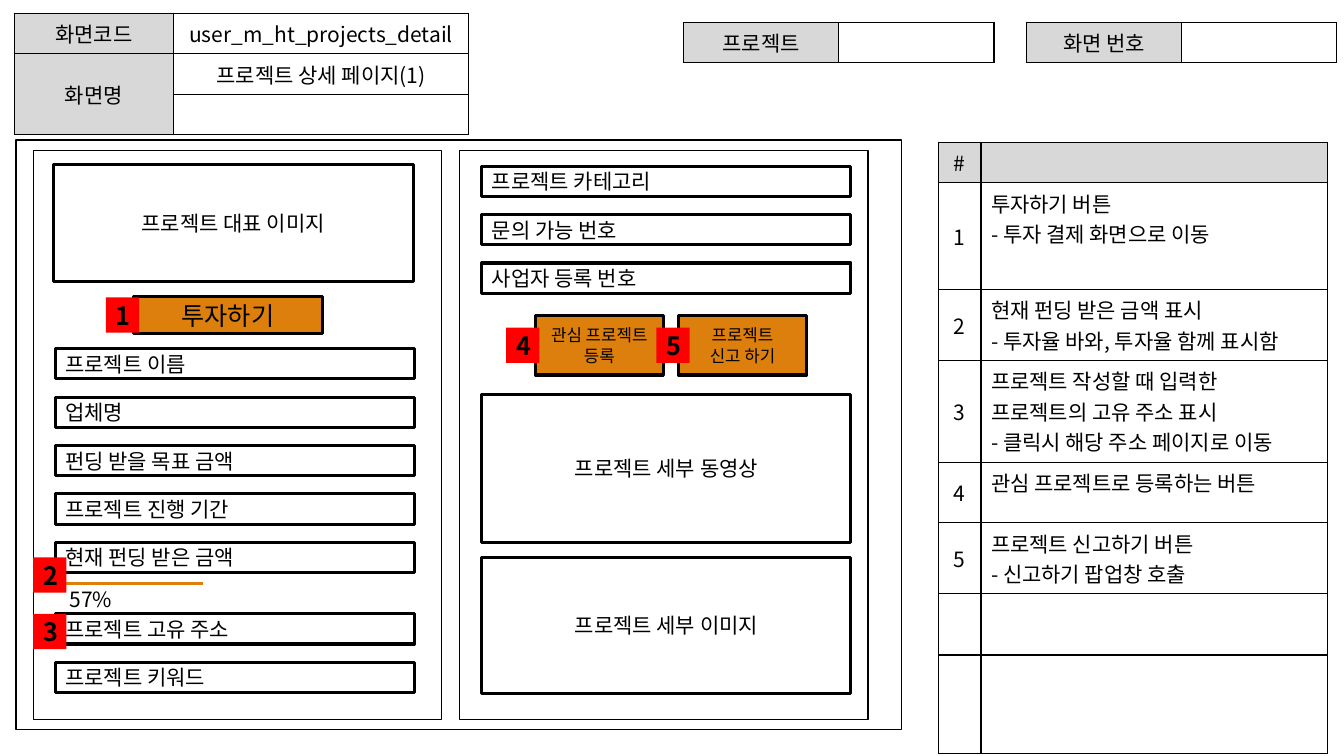
from lxml.etree import SubElement
from pptx import Presentation
from pptx.dml.color import RGBColor
from pptx.enum.shapes import MSO_CONNECTOR, MSO_SHAPE
from pptx.enum.text import MSO_ANCHOR, PP_ALIGN
from pptx.oxml.ns import qn
from pptx.util import Inches, Pt

BLACK = RGBColor(0x00, 0x00, 0x00)
WHITE = RGBColor(0xFF, 0xFF, 0xFF)
GRAY = RGBColor(0xD8, 0xD8, 0xD8)
ORANGE = RGBColor(0xDC, 0x7F, 0x0D)
RED = RGBColor(0xFF, 0x00, 0x00)
FONT = "Noto Sans CJK KR"
BODY_SIZE = 15
FIELD_HEIGHT = 0.3
FIELD_PITCH = 0.48


def write(frame, text, size=BODY_SIZE, align=PP_ALIGN.CENTER, bold=False):
    frame.text = text
    frame.word_wrap = True
    for para in frame.paragraphs:
        para.alignment = align
        for span in para.runs:
            span.font.size = Pt(size)
            span.font.bold = bold
            span.font.color.rgb = BLACK
            span.font.name = FONT
            SubElement(span.font._element, qn("a:ea"), typeface=FONT)
        if not para.runs:
            SubElement(para._p, qn("a:endParaRPr"), sz=str(size * 100))


def add_box(page, left, top, width, height, text="", fill=None, line=2.25,
            size=BODY_SIZE, align=PP_ALIGN.CENTER, bold=False):
    box = page.shapes.add_shape(MSO_SHAPE.RECTANGLE, Inches(left), Inches(top),
                                Inches(width), Inches(height))
    box.shadow.inherit = False
    if fill is None:
        box.fill.background()
    else:
        box.fill.solid()
        box.fill.fore_color.rgb = fill
    if line:
        box.line.color.rgb = BLACK
        box.line.width = Pt(line)
    else:
        box.line.fill.background()
    if text:
        box.text_frame.vertical_anchor = MSO_ANCHOR.MIDDLE
        write(box.text_frame, text, size, align, bold)
    return box


def add_fields(page, left, top, width, labels):
    for index, label in enumerate(labels):
        add_box(page, left, top + index * FIELD_PITCH, width, FIELD_HEIGHT,
                label, align=PP_ALIGN.LEFT)


def add_marker(page, left, top, number):
    add_box(page, left, top, 0.33, 0.35, number, RED, None, size=18, bold=True)


def style_cell(cell, text, fill, align, anchor):
    cell.vertical_anchor = anchor
    write(cell.text_frame, text, align=align)
    properties = cell._tc.get_or_add_tcPr()
    for side in ("a:lnL", "a:lnR", "a:lnT", "a:lnB"):
        border = SubElement(properties, qn(side), w=str(Pt(1)))
        paint = SubElement(border, qn("a:solidFill"))
        SubElement(paint, qn("a:srgbClr"), val=str(BLACK))
    cell.fill.solid()
    cell.fill.fore_color.rgb = fill


def add_grid(page, left, top, widths, heights, rows, is_header,
             align=PP_ALIGN.CENTER, anchor=MSO_ANCHOR.MIDDLE):
    """The last column takes the given alignment and anchor."""
    table = page.shapes.add_table(len(rows), len(widths), Inches(left), Inches(top),
                                  Inches(sum(widths)), Inches(sum(heights))).table
    table.first_row = table.horz_banding = False
    for column, width in zip(table.columns, widths):
        column.width = Inches(width)
    for r, (texts, height) in enumerate(zip(rows, heights)):
        table.rows[r].height = Inches(height)
        for c, text in enumerate(texts):
            last = c == len(widths) - 1
            style_cell(table.cell(r, c), text,
                       GRAY if is_header(r, c) else WHITE,
                       align if last else PP_ALIGN.CENTER,
                       anchor if last else MSO_ANCHOR.MIDDLE)
    return table


def first_column(row, column):
    return column == 0


def first_row(row, column):
    return row == 0


# Screen identification along the top
def add_heading(page, left, top):
    screen = add_grid(page, left, top, [1.58, 2.93], [0.4] * 3,
                      [["화면코드", "user_m_ht_projects_detail"],
                       ["화면명", "프로젝트 상세 페이지(1)"],
                       ["", ""]], first_column)
    screen.cell(1, 0).merge(screen.cell(2, 0))
    for offset, label in ((6.64, "프로젝트"), (10.04, "화면 번호")):
        add_grid(page, left + offset, top + 0.09, [1.54, 1.54], [0.4],
                 [[label, ""]], first_column)


# Numbered explanations on the right
def add_descriptions(page, left, top):
    rows = [["#", ""],
            ["1", "투자하기 버튼\n- 투자 결제 화면으로 이동"],
            ["2", "현재 펀딩 받은 금액 표시\n- 투자율 바와, 투자율 함께 표시함"],
            ["3", "프로젝트 작성할 때 입력한 프로젝트의 고유 주소 표시\n"
                  "- 클릭시 해당 주소 페이지로 이동"],
            ["4", "관심 프로젝트로 등록하는 버튼"],
            ["5", "프로젝트 신고하기 버튼\n- 신고하기 팝업창 호출"],
            ["", ""],
            ["", ""]]
    add_grid(page, left, top, [0.42, 3.44],
             [0.4, 1.06, 0.7, 1.01, 0.6, 0.7, 0.61, 0.98], rows, first_row,
             PP_ALIGN.LEFT, MSO_ANCHOR.TOP)


# Left phone screen: funding summary
def add_summary_screen(page, left, top, width, height):
    add_box(page, left, top, width, height, line=1)
    add_box(page, left + 0.2, top + 0.14, 3.57, 1.16, "프로젝트 대표 이미지")
    add_box(page, left + 0.99, top + 1.45, 1.88, 0.37, "투자하기", ORANGE, size=18)

    # Funding progress
    field_left = left + 0.22
    bar_top = Inches(top + 4.3)
    bar = page.shapes.add_connector(MSO_CONNECTOR.STRAIGHT, Inches(field_left), bar_top,
                                    Inches(field_left + 1.46), bar_top)
    bar.line.color.rgb = ORANGE
    bar.line.width = Pt(2.25)
    SubElement(bar._element.spPr, qn("a:effectLst"))
    add_box(page, left + 0.25, top + 4.35, 0.64, 0.2, "57%", WHITE, None)

    add_fields(page, field_left, top + 1.97, 3.56,
               ["프로젝트 이름", "업체명", "펀딩 받을 목표 금액",
                "프로젝트 진행 기간", "현재 펀딩 받은 금액"])
    add_fields(page, field_left, top + 4.6, 3.56,
               ["프로젝트 고유 주소", "프로젝트 키워드"])
    add_marker(page, left + 0.72, top + 1.46, "1")
    add_marker(page, left, top + 4.04, "2")
    add_marker(page, left, top + 4.6, "3")


# Right phone screen: project details
def add_detail_screen(page, left, top, width, height):
    add_box(page, left, top, width, height, line=1)
    buttons = ["관심 프로젝트\n등록", "프로젝트\n신고 하기"]
    for index, label in enumerate(buttons):
        add_box(page, left + 0.75 + index * 1.42, top + 1.64, 1.27, 0.59,
                label, ORANGE, size=12)
    add_fields(page, left + 0.22, top + 0.16, 3.66,
               ["프로젝트 카테고리", "문의 가능 번호", "사업자 등록 번호"])
    add_box(page, left + 0.22, top + 2.42, 3.66, 1.47, "프로젝트 세부 동영상")
    add_box(page, left + 0.22, top + 4.04, 3.66, 1.35, "프로젝트 세부 이미지")
    add_marker(page, left + 0.46, top + 1.76, "4")
    add_marker(page, left + 1.95, top + 1.76, "5")


def main():
    deck = Presentation()
    deck.slide_width, deck.slide_height = Inches(13.33), Inches(7.5)
    page = deck.slides.add_slide(deck.slide_layouts[6])
    add_heading(page, 0.14, 0.13)
    add_descriptions(page, 9.31, 1.41)
    add_box(page, 0.16, 1.39, 8.78, 5.85, line=1)
    add_summary_screen(page, 0.33, 1.49, 4.05, 5.65)
    add_detail_screen(page, 4.56, 1.49, 4.05, 5.65)
    deck.save("out.pptx")


if __name__ == "__main__":
    main()
